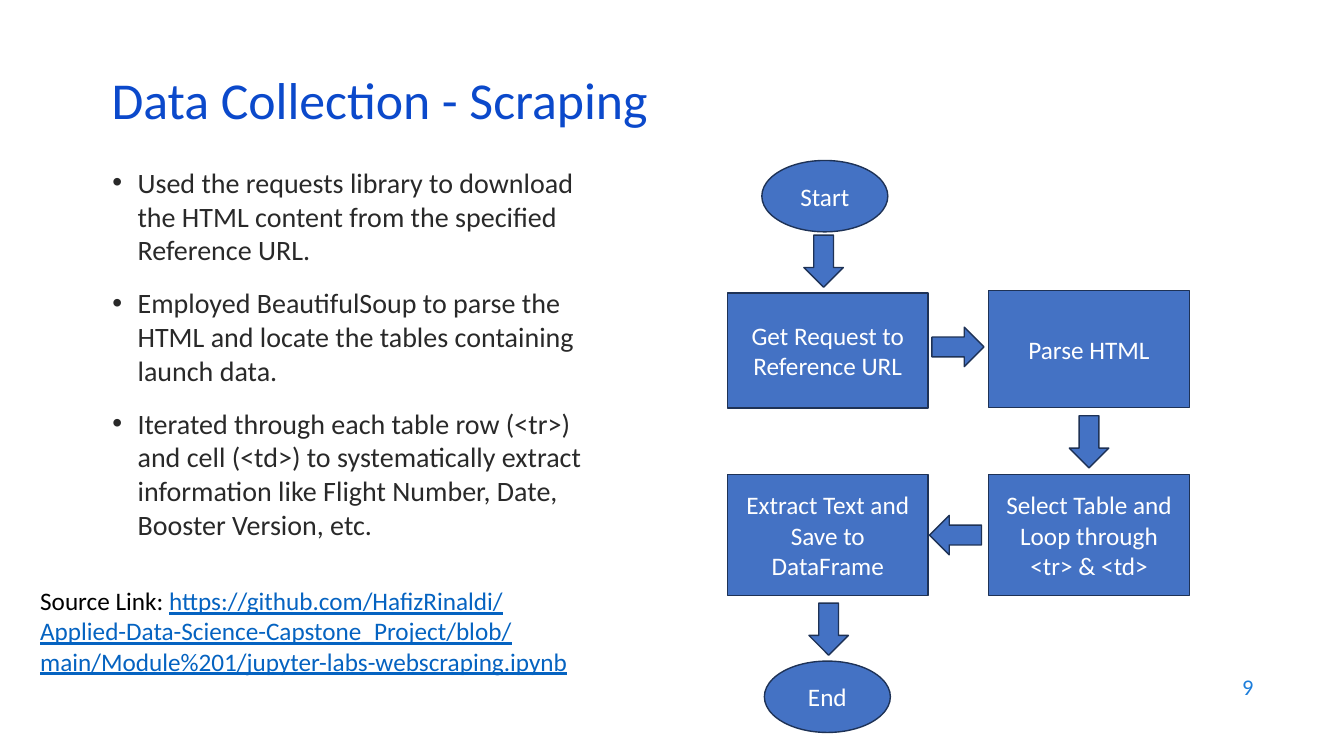
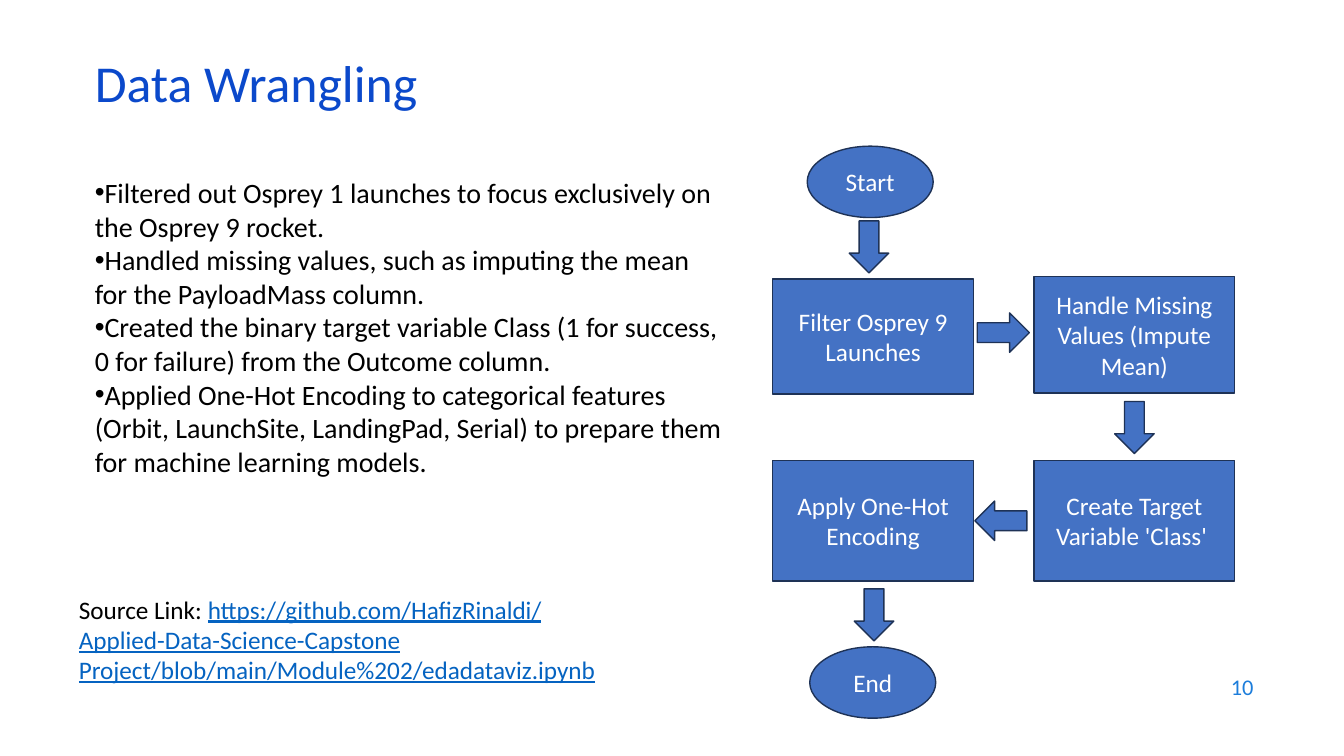
from lxml import etree
from pptx import Presentation, util as u
from pptx.dml.color import RGBColor
from pptx.enum import shapes, text
from pptx.oxml.ns import qn

COLUMNS, ROWS = 16, 9
FONT = "Calibri"
TITLE, PAGE, BODY, BLACK, WHITE = "0B49CB", "1C7DDB", "292929", "000000", "FFFFFF"
LINK, NODE, EDGE = "0563C1", "4472C4", "1E3256"
OVAL, BOX, ARROW = (shapes.MSO_SHAPE.OVAL, shapes.MSO_SHAPE.RECTANGLE,
                    shapes.MSO_SHAPE.DOWN_ARROW)
MIDDLE = text.MSO_ANCHOR.MIDDLE

STEPS = [
    (OVAL, 0.41, 0, 1.5, 0.85),
    (BOX, 0, 1.58, 2.39, 1.37),
    (BOX, 3.11, 1.55, 2.39, 1.39),
    (BOX, 3.11, 3.74, 2.39, 1.44),
    (BOX, 0, 3.74, 2.39, 1.44),
    (OVAL, 0.44, 5.96, 1.5, 0.85),
]
ARROWS = [(0.91, 0.89, 0), (2.51, 1.91, 270), (4.07, 3.04, 0),
          (2.48, 4.15, 90), (0.97, 5.27, 0)]


def color(value):
    return RGBColor.from_string(value)


class Deck:
    def __init__(self):
        self.show = Presentation()
        self.show.slide_width = u.Inches(13.33)
        self.show.slide_height = u.Inches(7.5)
        self.slide = None

    def place(self, left, top, width, height):
        column = self.show.slide_width / COLUMNS
        row = self.show.slide_height / ROWS
        return (round(left * column), round(top * row),
                round(width * column), round(height * row))

    def style(self, run, size, ink):
        run.font.name = FONT
        run.font.size = u.Pt(size)
        run.font.color.rgb = color(ink)

    def fill_text(self, frame, lines, size, ink):
        frame.word_wrap = True
        frame.text = "\n".join(lines)
        for paragraph in frame.paragraphs:
            for run in paragraph.runs:
                self.style(run, size, ink)
        return frame.paragraphs

    def text(self, area, lines, size, ink, anchor=text.MSO_ANCHOR.TOP):
        frame = self.slide.shapes.add_textbox(*self.place(*area)).text_frame
        frame.vertical_anchor = anchor
        return self.fill_text(frame, lines, size, ink)

    def start(self, title, corner, number):
        self.slide = self.show.slides.add_slide(self.show.slide_layouts[6])
        heading = self.text((*corner, 13.8, 0.72), [title], 37, TITLE, MIDDLE)
        heading[0].line_spacing = 0.7
        page = self.text((11.44, 7.91, 3.6, 0.53), [str(number)], 16, PAGE, MIDDLE)
        page[0].alignment = text.PP_ALIGN.RIGHT

    def bullets(self, area, points, ink, indent, gap):
        for index, paragraph in enumerate(self.text(area, points, 20, ink)):
            properties = paragraph._p.get_or_add_pPr()
            properties.set("marL", str(u.Inches(indent)))
            properties.set("indent", str(-u.Inches(indent)))
            face = etree.SubElement(properties, qn("a:buFont"))
            face.set("typeface", "Arial")
            etree.SubElement(properties, qn("a:buChar")).set("char", "•")
            paragraph.space_before = u.Pt(gap if index else 0)

    def link(self, area, label, lines):
        paragraphs = self.text(area, ["", *lines[1:]], 18, LINK)
        lead = paragraphs[0].add_run()
        lead.text = label
        self.style(lead, 18, BLACK)
        address = paragraphs[0].add_run()
        address.text = lines[0]
        self.style(address, 18, LINK)
        for run in [address, *(r for p in paragraphs[1:] for r in p.runs)]:
            run.font.underline = True

    def shape(self, kind, area, turn=0):
        figure = self.slide.shapes.add_shape(kind, *self.place(*area))
        figure.shadow.inherit = False
        figure.fill.solid()
        figure.fill.fore_color.rgb = color(NODE)
        figure.line.color.rgb = color(EDGE)
        figure.line.width = u.Pt(1)
        figure.rotation = turn
        return figure

    def flow(self, left, top, labels):
        for (kind, x, y, width, height), label in zip(STEPS, labels):
            step = self.shape(kind, (left + x, top + y, width, height))
            step.text_frame.vertical_anchor = MIDDLE
            caption = self.fill_text(step.text_frame, [label], 18, WHITE)
            caption[0].alignment = text.PP_ALIGN.CENTER
        for x, y, turn in ARROWS:
            self.shape(ARROW, (left + x, top + y, 0.47, 0.62), turn)


def main():
    deck = Deck()

    deck.start("Data Collection - Scraping", (1.21, 0.91), 9)
    deck.bullets((1.22, 1.91, 6.25, 5), [
        "Used the requests library to download the HTML content from the "
        "specified Reference URL.",
        "Employed BeautifulSoup to parse the HTML and locate the tables "
        "containing launch data.",
        "Iterated through each table row (<tr>) and cell (<td>) to "
        "systematically extract information like Flight Number, Date, "
        "Booster Version, etc.",
    ], BODY, 0.25, 14)
    deck.flow(8.66, 1.91, [
        "Start", "Get Request to Reference URL", "Parse HTML",
        "Select Table and Loop through <tr> & <td>",
        "Extract Text and Save to DataFrame", "End"])
    deck.link((0.36, 6.91, 6.9, 1.21), "Source Link: ", [
        "https://github.com/HafizRinaldi/",
        "Applied-Data-Science-Capstone_Project/blob/",
        "main/Module%201/jupyter-labs-webscraping.ipynb"])

    deck.start("Data Wrangling", (1.01, 0.71), 10)
    deck.bullets((1.01, 2.03, 7.74, 4.32), [
        "Filtered out Osprey 1 launches to focus exclusively on the "
        "Osprey 9 rocket.",
        "Handled missing values, such as imputing the mean for the "
        "PayloadMass column.",
        "Created the binary target variable Class (1 for success, 0 for "
        "failure) from the Outcome column.",
        "Applied One-Hot Encoding to categorical features (Orbit, "
        "LaunchSite, LandingPad, Serial) to prepare them for machine "
        "learning models.",
    ], BLACK, 0, 0)
    deck.flow(9.2, 1.74, [
        "Start", "Filter Osprey 9 Launches",
        "Handle Missing Values (Impute Mean)",
        "Create Target Variable 'Class' ", "Apply One-Hot Encoding", "End"])
    deck.link((0.82, 7.01, 6.74, 1.21), "Source Link: ", [
        "https://github.com/HafizRinaldi/",
        "Applied-Data-Science-Capstone",
        "Project/blob/main/Module%202/edadataviz.ipynb"])

    deck.show.save("out.pptx")


if __name__ == "__main__":
    main()
